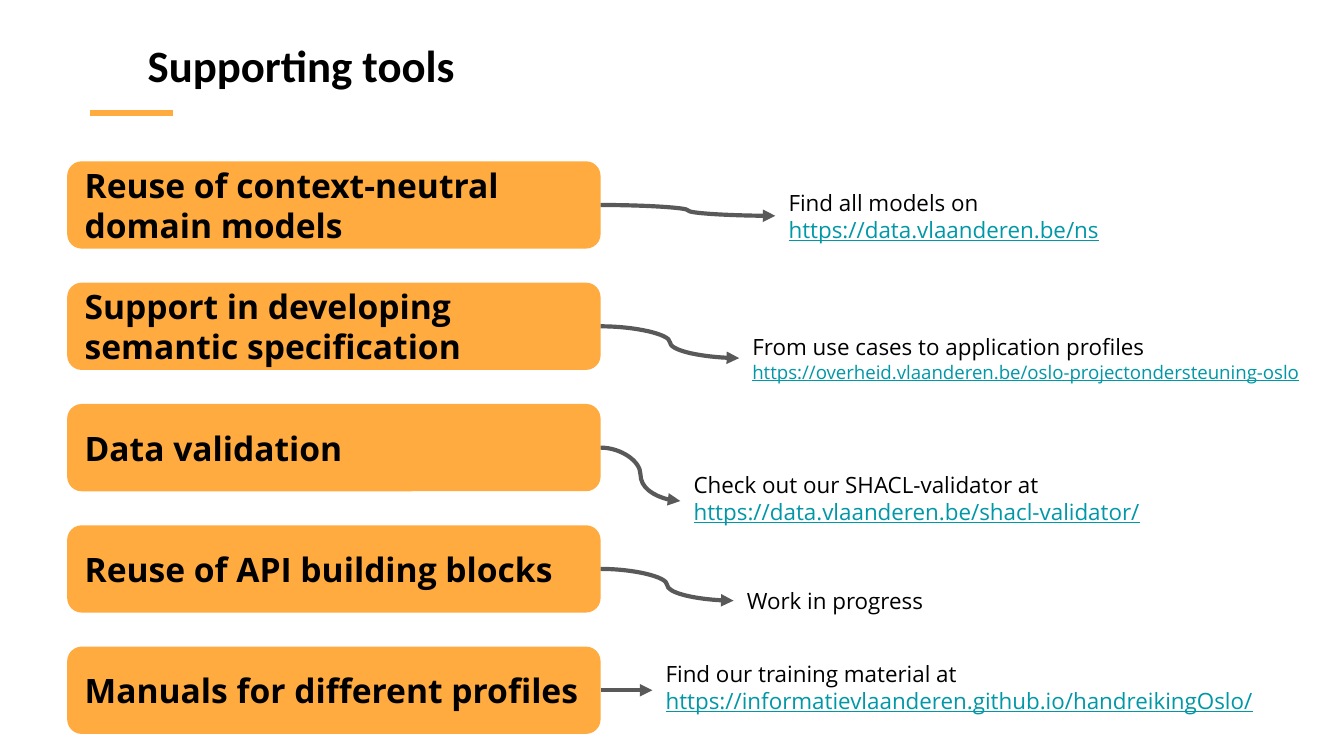
from lxml.etree import SubElement
from pptx import Presentation
from pptx.dml.color import RGBColor
from pptx.enum.shapes import MSO_CONNECTOR as Connector, MSO_SHAPE as Shape
from pptx.enum.text import MSO_ANCHOR as Anchor, PP_ALIGN as Align
from pptx.oxml.ns import qn
from pptx.util import Pt

ORANGE = "FFAB40"
GREY = "595959"
TEAL = "0097A7"
BLACK = "000000"

TOOL_LEFT, TOOL_TOP, TOOL_WIDTH, TOOL_HEIGHT = 36, 86.4, 285.8, 46.8
TOOL_PITCH = 65

TOOLS = [
    ("Reuse of context-neutral domain models", (415.4, 92.2, 247.7, 46.8), Anchor.MIDDLE,
     "Find all models on", "https://data.vlaanderen.be/ns", 12),
    ("Support in developing semantic specification", (396, 144.7, 324, 94.3), Anchor.MIDDLE,
     "From use cases to application profiles",
     "https://overheid.vlaanderen.be/oslo-projectondersteuning-oslo", 10),
    ("Data validation", (364.5, 245, 349.2, 46.8), Anchor.TOP,
     "Check out our SHACL-validator at", "https://data.vlaanderen.be/shacl-validator/", 12),
    ("Reuse of API building blocks", (393, 298.4, 349.2, 46.8), Anchor.MIDDLE,
     "Work in progress", None, 12),
    ("Manuals for different profiles", (349.5, 346.4, 379.4, 46.8), Anchor.TOP,
     "Find our training material at",
     "https://informatievlaanderen.github.io/handreikingOslo/", 12),
]


def color(value):
    return RGBColor.from_string(value)


def add_text(paragraph, text, size=12, font="Open Sans", fill=BLACK, bold=False, underline=False):
    run = paragraph.add_run()
    run.text = text
    run.font.name = font
    run.font.size = Pt(size)
    run.font.bold = bold
    run.font.underline = underline
    run.font.color.rgb = color(fill)


def prepare_frame(shape, anchor):
    frame = shape.text_frame
    frame.word_wrap = True
    frame.vertical_anchor = anchor
    frame.margin_left = frame.margin_right = Pt(7.2)
    frame.margin_top = frame.margin_bottom = Pt(7.2)
    paragraph = frame.paragraphs[0]
    paragraph.alignment = Align.LEFT
    return paragraph


def add_line(slide, kind, start, end, fill, width, arrow=False):
    line = slide.shapes.add_connector(kind, *map(Pt, start + end))
    line.line.color.rgb = color(fill)
    line.line.width = Pt(width)
    if arrow:
        SubElement(line.line._get_or_add_ln(), qn("a:tailEnd"), type="triangle")
    SubElement(line._element.spPr, qn("a:effectLst"))


def add_title(slide, box, text):
    left, top, width, height = box
    title = slide.shapes.add_textbox(*map(Pt, box))
    add_text(prepare_frame(title, Anchor.TOP), text, size=24, font="Calibri", bold=True)
    rule_left, rule_top = left - 23.8, top + height + 13
    add_line(slide, Connector.STRAIGHT, (rule_left, rule_top), (rule_left + 44.6, rule_top),
             ORANGE, 3)


def add_tool(slide, box, text):
    shape = slide.shapes.add_shape(Shape.ROUNDED_RECTANGLE, *map(Pt, box))
    shape.shadow.inherit = False
    shape.fill.solid()
    shape.fill.fore_color.rgb = color(ORANGE)
    shape.line.fill.background()
    add_text(prepare_frame(shape, Anchor.MIDDLE), text, size=18, bold=True)


def add_note(slide, box, anchor, text, link, link_size):
    note = slide.shapes.add_textbox(*map(Pt, box))
    paragraph = prepare_frame(note, anchor)
    add_text(paragraph, text)
    if link:
        paragraph.add_line_break()
        add_text(paragraph, link, size=link_size, fill=TEAL, underline=True)


def add_tool_row(slide, box, tool):
    left, top, width, height = box
    name, note_box, anchor, text, link, link_size = tool
    note_left, note_top, _, note_height = note_box
    add_tool(slide, box, name)
    add_note(slide, note_box, anchor, text, link, link_size)
    add_line(slide, Connector.CURVE, (left + width, top + height / 2),
             (note_left, note_top + note_height / 2), GREY, 2.25, arrow=True)


def main():
    presentation = Presentation()
    presentation.slide_width = Pt(720)
    presentation.slide_height = Pt(405)
    slide = presentation.slides.add_slide(presentation.slide_layouts[6])
    add_title(slide, (72, 13, 624, 34.6), "Supporting tools")
    for index, tool in enumerate(TOOLS):
        top = TOOL_TOP + index * TOOL_PITCH
        add_tool_row(slide, (TOOL_LEFT, top, TOOL_WIDTH, TOOL_HEIGHT), tool)
    presentation.save("out.pptx")


if __name__ == "__main__":
    main()
